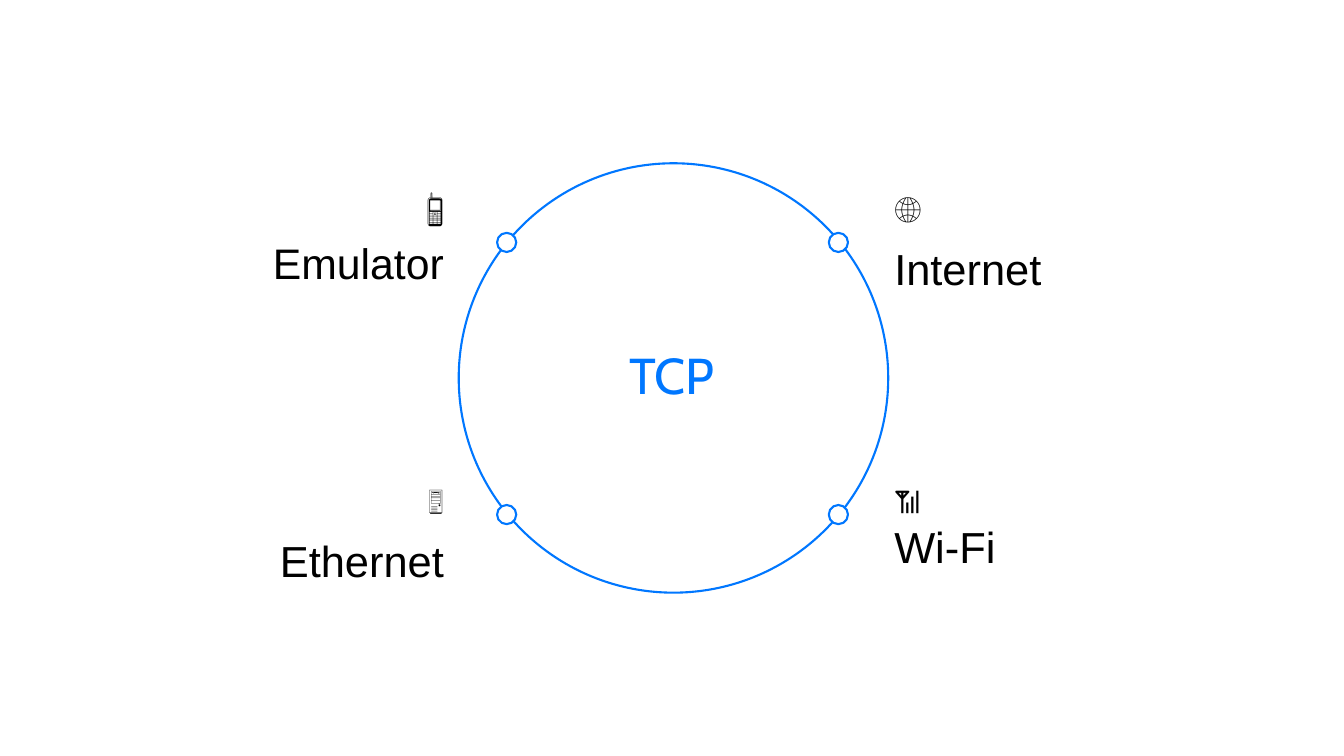
from pptx import Presentation
from pptx.dml.color import RGBColor
from pptx.enum.shapes import MSO_SHAPE as Preset
from pptx.enum.text import MSO_ANCHOR as Anchor, MSO_AUTO_SIZE as AutoSize, PP_ALIGN as Align
from pptx.util import Inches, Pt

BLUE = RGBColor(0x00, 0x77, 0xFF)
WHITE = RGBColor(0xFF, 0xFF, 0xFF)
BLACK = RGBColor(0x00, 0x00, 0x00)

HUB = "TCP"
# side, row, icon, icon size, name, name size, line spacing, name in own paragraph
LINKS = [
    ("right", 0, "🌐", 18, "Internet", 31, 1.1, True),
    ("right", 1, "📶", 18, "Wi-Fi", 31, 1.1, False),
    ("left", 0, "📱", 25.9, "Emulator", 30.5, 0.9, True),
    ("left", 1, "🖥️", 18, "Ethernet", 31, 1.1, True),
]

RING = (4.55, 1.62, 4.26)
NODE_SIZE = 0.19
NODE_LEFT = {"left": 4.93, "right": 8.22}
NODE_TOP = (2.31, 5.01)
LABEL_LEFT = {"left": 1.77, "right": 8.87}
LABEL_TOP = (1.83, 4.73)
LABEL_SIZE = (2.73, 1.16)
LABEL_ALIGN = {"left": Align.RIGHT, "right": Align.LEFT}


def set_margins(frame, left, top, right, bottom):
    """Set the four text insets in inches."""
    frame.margin_left, frame.margin_top = Inches(left), Inches(top)
    frame.margin_right, frame.margin_bottom = Inches(right), Inches(bottom)


def add_run(paragraph, text, font, size, color):
    """Append one formatted run."""
    run = paragraph.add_run()
    run.text = text
    run.font.name = font
    run.font.size = Pt(size)
    run.font.color.rgb = color


def add_circle(slide, left, top, size, fill=None):
    """Draw a blue-outlined circle."""
    circle = slide.shapes.add_shape(
        Preset.OVAL, Inches(left), Inches(top), Inches(size), Inches(size))
    circle.shadow.inherit = False
    if fill is None:
        circle.fill.background()
    else:
        circle.fill.solid()
        circle.fill.fore_color.rgb = fill
    circle.line.color.rgb = BLUE
    circle.line.width = Pt(1.5)


def add_hub(slide):
    """Place the title in the middle of the ring."""
    hub = slide.shapes.title
    hub.left, hub.top = Inches(4.71), Inches(2.87)
    hub.width, hub.height = Inches(3.91), Inches(1.76)
    frame = hub.text_frame
    frame.word_wrap = True
    frame.auto_size = AutoSize.NONE
    frame.vertical_anchor = Anchor.MIDDLE
    set_margins(frame, 0, 0, 0, 0)
    paragraph = frame.paragraphs[0]
    paragraph.alignment = Align.CENTER
    paragraph.line_spacing = 0.9
    add_run(paragraph, HUB, "Cabin", 36, BLUE)


def add_label(slide, side, row, icon, icon_size, name, name_size, spacing, own_paragraph):
    """Write the icon and name of one link."""
    box = slide.shapes.add_textbox(
        Inches(LABEL_LEFT[side]), Inches(LABEL_TOP[row]), *map(Inches, LABEL_SIZE))
    frame = box.text_frame
    frame.word_wrap = True
    set_margins(frame, 0, 0.05, 0.1, 0.05)
    paragraph = frame.paragraphs[0]
    add_run(paragraph, icon, "Arial", icon_size, BLACK)
    if own_paragraph:
        paragraph = frame.add_paragraph()
        paragraph.space_before = Pt(10)
    else:
        paragraph.add_line_break()
    add_run(paragraph, name, "Arial", name_size, BLACK)
    for paragraph in frame.paragraphs:
        paragraph.alignment = LABEL_ALIGN[side]
        paragraph.line_spacing = spacing


def main():
    """Build the TCP links slide."""
    deck = Presentation()
    deck.slide_width, deck.slide_height = Inches(13.33), Inches(7.5)
    slide = deck.slides.add_slide(deck.slide_layouts[5])
    add_circle(slide, *RING)
    add_hub(slide)
    for left in NODE_LEFT.values():
        for top in NODE_TOP:
            add_circle(slide, left, top, NODE_SIZE, WHITE)
    for link in LINKS:
        add_label(slide, *link)
    deck.save("out.pptx")


if __name__ == "__main__":
    main()
